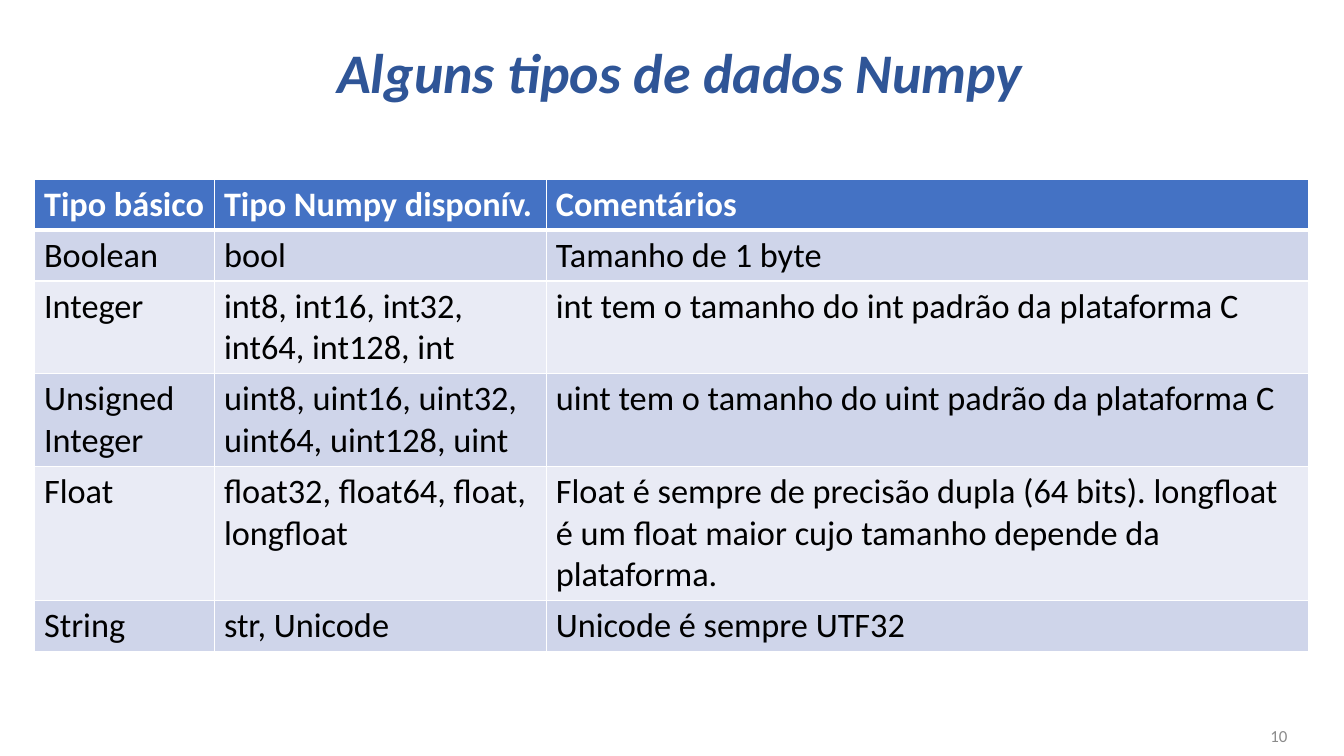
from lxml.etree import SubElement as Sub
from pptx import Presentation
from pptx.dml.color import RGBColor as Rgb
from pptx.enum.text import MSO_ANCHOR as Anchor, PP_ALIGN as Align
from pptx.oxml.ns import qn
from pptx.util import Cm, Pt

HUES = {
    "title": "2F5597", "head": "4472C4", "odd": "CFD5EA", "even": "E9EBF5",
    "white": "FFFFFF", "black": "000000", "gray": "8B8B8B",
}
COLS = (5, 9.22, 21.16)
ROWS = (
    (1, "Tipo básico", "Tipo Numpy disponív.", "Comentários"),
    (1, "Boolean", "bool", "Tamanho de 1 byte"),
    (2, "Integer", "int8, int16, int32, int64, int128, int",
     "int tem o tamanho do int padrão da plataforma C"),
    (2, "Unsigned Integer", "uint8, uint16, uint32, uint64, uint128, uint",
     "uint tem o tamanho do uint padrão da plataforma C"),
    (3, "Float", "float32, float64, float, longfloat",
     "Float é sempre de precisão dupla (64 bits). longfloat é um float "
     "maior cujo tamanho depende da plataforma."),
    (1, "String", "str, Unicode", "Unicode é sempre UTF32"),
)


def write(frame, text, size=27, hue="black", bold=False, italic=False,
          align=Align.LEFT, space=1.0):
    """Put one formatted paragraph into a text frame."""
    para = frame.paragraphs[0]
    para.alignment, para.line_spacing = align, space
    run = para.add_run()
    run.text = text
    font = run.font
    font.name, font.size = "Calibri", Pt(size)
    font.bold, font.italic = bold, italic
    font.color.rgb = Rgb.from_string(HUES[hue])


def edge(cell, side, width):
    """Draw one white border of a cell."""
    line = Sub(cell._tc.get_or_add_tcPr(), qn(f"a:ln{side}"), w=str(Pt(width)))
    fill = Sub(line, qn("a:solidFill"))
    Sub(fill, qn("a:srgbClr"), val=HUES["white"])


def title(slide, box):
    """Place and format the slide title."""
    shape = slide.shapes.title
    shape.left, shape.top, shape.width, shape.height = map(Cm, box)
    frame = shape.text_frame
    frame.word_wrap, frame.vertical_anchor = True, Anchor.MIDDLE
    write(frame, "Alguns tipos de dados Numpy", size=44, hue="title",
          bold=True, italic=True, align=Align.CENTER, space=0.9)


def types(slide, box):
    """Build the table of data types."""
    grid = slide.shapes.add_table(len(ROWS), len(COLS), *map(Cm, box)).table
    for col, width in zip(grid.columns, COLS):
        col.width = Cm(width)
    for r, (lines, *texts) in enumerate(ROWS):
        grid.rows[r].height = Cm(0.25 + 1.16 * lines)
        head = r == 0
        shade = "head" if head else "odd" if r % 2 else "even"
        for c, text in enumerate(texts):
            cell = grid.cell(r, c)
            for side in "LRTB":
                thick = (head and side == "B") or (r == 1 and side == "T")
                edge(cell, side, 3 if thick else 1)
            cell.fill.solid()
            cell.fill.fore_color.rgb = Rgb.from_string(HUES[shade])
            write(cell.text_frame, text, bold=head,
                  hue="white" if head else "black")


def number(slide, box):
    """Place the page number."""
    frame = slide.shapes.add_textbox(*map(Cm, box)).text_frame
    frame.word_wrap, frame.vertical_anchor = True, Anchor.MIDDLE
    write(frame, "10", size=13.3, hue="gray", align=Align.RIGHT)


def main():
    """Build and save the slide."""
    deck = Presentation()
    deck.slide_width, deck.slide_height = Cm(37.34), Cm(21.01)
    slide = deck.slides.add_slide(deck.slide_layouts[5])
    title(slide, (2.57, 0.05, 32.66, 4.11))
    types(slide, (0.97, 4.98, sum(COLS), 13.1))
    number(slide, (27.61, 19.89, 8.41, 1.12))
    deck.save("out.pptx")


if __name__ == "__main__":
    main()
